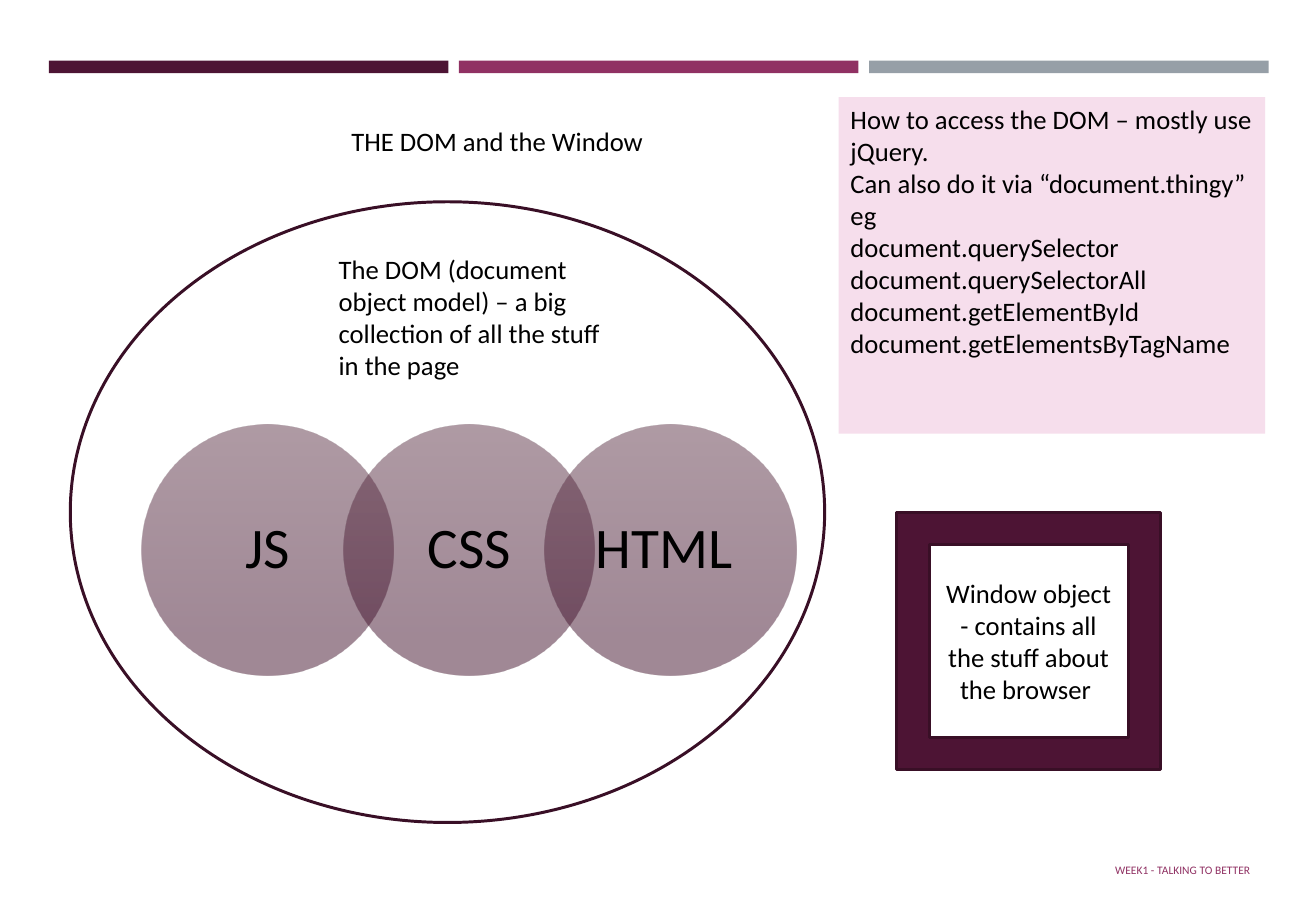
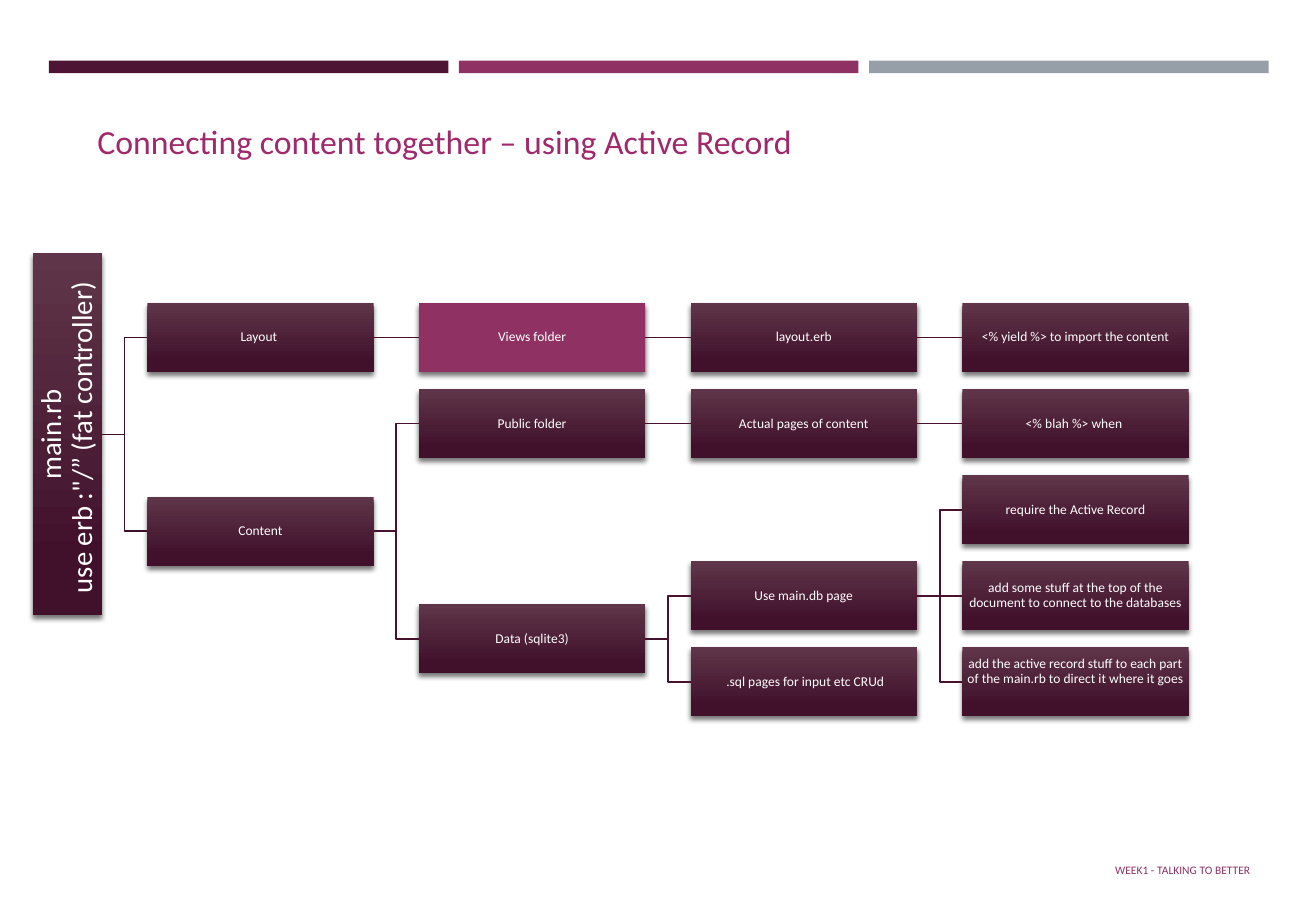
from typing import NamedTuple

from lxml.etree import SubElement
from pptx import Presentation
from pptx.dml.color import RGBColor
from pptx.enum.shapes import MSO_CONNECTOR, MSO_SHAPE
from pptx.enum.text import MSO_ANCHOR, MSO_AUTO_SIZE, PP_ALIGN
from pptx.oxml.ns import qn
from pptx.util import Cm, Pt

FONT = "Calibri"
BLACK, WHITE = "000000", "FFFFFF"
PLUM, MAGENTA, GREY = "4D1434", "903163", "969FA7"
OUTLINE, PINK, TITLE_PINK = "390F26", "F6DEEC", "9F296B"
GRADIENT = ((0, "5F3649"), (0.84, "41112C"))
ROOT_LINE, BRANCH_LINE = "3E102A", "46122F"
BODY_SIZE = 15.8

NODE_WIDTH, NODE_HEIGHT, NODE_GAP = 4.73, 1.44, 0.95
ROW_PITCH = 1.25 * NODE_HEIGHT
ROOT_LENGTH = 7.57


class Box(NamedTuple):
    """A rectangle in centimetres."""
    left: float
    top: float
    width: float
    height: float

    def lengths(self):
        """Return the four values as slide lengths."""
        return [Cm(value) for value in self]

    def inner(self, dx, dy, width, height):
        """Return a box placed relative to this one."""
        return Box(self.left + dx, self.top + dy, width, height)


class Node(NamedTuple):
    """A tree box: leaves give a row, parents give children."""
    text: str
    children: tuple = ()
    row: float = 0
    fill: object = GRADIENT
    lift: float = 0

    def centre_row(self):
        """Return the row midway between the first and last child."""
        if not self.children:
            return self.row
        return (self.children[0].centre_row() + self.children[-1].centre_row()) / 2


TREE = Node('main.rb\vuse erb :"/” (fat controller) ', (
    Node("Layout ", (
        Node("Views folder", (
            Node("layout.erb", (Node("<% yield %> to import the content", row=0),)),
        ), fill=MAGENTA),
    )),
    Node("Content", (
        Node("Public folder", (
            Node("Actual pages of content", (Node("<% blah %> when ", row=1),)),
        )),
        Node("Data (sqlite3)", (
            Node("Use main.db page", (
                Node("require the Active Record", row=2),
                Node("add some stuff at the top of the document to connect to the databases",
                     row=3),
                Node("add the active record stuff to each part of the main.rb "
                     "to direct it where it goes", row=4, lift=0.42),
            )),
            Node(" .sql pages for input etc CRUd", row=4),
        )),
    )),
))

ACCESS_LINES = (
    "How to access the DOM – mostly use jQuery.",
    "Can also do it via “document.thingy” eg",
    "document.querySelector",
    "document.querySelectorAll",
    "document.getElementById",
    "document.getElementsByTagName",
)


def colour(value):
    """Turn a hex string into a colour."""
    return RGBColor.from_string(value)


def write(frame, text, size, ink=BLACK, align=PP_ALIGN.LEFT, anchor=MSO_ANCHOR.TOP,
          wrap=True, spacing=None):
    """Fill a text frame with uniformly formatted paragraphs."""
    frame.text = text
    frame.word_wrap = wrap
    frame.auto_size = MSO_AUTO_SIZE.NONE
    frame.vertical_anchor = anchor
    for paragraph in frame.paragraphs:
        paragraph.alignment = align
        paragraph.line_spacing = spacing
        paragraph.font.name = FONT
        paragraph.font.size = Pt(size)
        paragraph.font.color.rgb = colour(ink)


def paint_gradient(shape, opacity=100):
    """Give a shape the downward plum gradient."""
    shape.fill.gradient()
    shape.fill.gradient_angle = 270
    for stop, (position, tone) in zip(shape.fill.gradient_stops, GRADIENT):
        stop.position = position
        stop.color.rgb = colour(tone)
    if opacity < 100:
        for tone in shape.element.spPr.iter(qn("a:srgbClr")):
            SubElement(tone, qn("a:alpha"), val=str(opacity * 1000))


def add_form(slide, kind, box, fill=None, line=None, opacity=100):
    """Add a preset shape with the given fill and outline."""
    shape = slide.shapes.add_shape(kind, *box.lengths())
    shape.shadow.inherit = False
    if fill is None:
        shape.fill.background()
    elif fill is GRADIENT:
        paint_gradient(shape, opacity)
    else:
        shape.fill.solid()
        shape.fill.fore_color.rgb = colour(fill)
    if line:
        shape.line.color.rgb = colour(line)
        shape.line.width = Pt(1.75)
    else:
        shape.line.fill.background()
    return shape


def add_label(slide, box, text, size, **style):
    """Add a text box."""
    write(slide.shapes.add_textbox(*box.lengths()).text_frame, text, size, **style)


def cast_shadow(shape):
    """Add a soft shadow just below a shape."""
    effects = shape.element.spPr.find(qn("a:effectLst"))
    shadow = SubElement(effects, qn("a:outerShdw"), blurRad=str(Pt(3)), dist=str(Pt(2)),
                        dir="5400000", algn="ctr", rotWithShape="0")
    tone = SubElement(shadow, qn("a:srgbClr"), val=BLACK)
    SubElement(tone, qn("a:alpha"), val="55000")


def add_bands(slide, box, gap=0.22):
    """Draw the three equal bands across the top."""
    width = (box.width - 2 * gap) / 3
    for index, fill in enumerate((PLUM, MAGENTA, GREY)):
        add_form(slide, MSO_SHAPE.RECTANGLE,
                 box.inner(index * (width + gap), 0, width, box.height), fill)


def start_slide(deck, title, box, size, ink):
    """Add a slide with title, bands and footer."""
    slide = deck.slides.add_slide(deck.slide_layouts[5])
    heading = slide.shapes.title
    heading.left, heading.top, heading.width, heading.height = box.lengths()
    write(heading.text_frame, title, size, ink, wrap=False)
    add_bands(slide, Box(1.02, 1.27, 25.5, 0.26))
    add_label(slide, Box(23.06, 17.78, 3.99, 0.81), "WEEK1 - TALKING TO BETTER", 6.8,
              ink=MAGENTA, anchor=MSO_ANCHOR.MIDDLE)
    return slide


def draw_dom(slide, box):
    """Draw the DOM ellipse with its overlapping languages."""
    diameter = 5.26
    for index, language in enumerate(("JS", "CSS", "HTML ")):
        circle = add_form(slide, MSO_SHAPE.OVAL,
                          box.inner(1.5 + index * 0.8 * diameter, 4.65, diameter, diameter),
                          GRADIENT, opacity=50)
        write(circle.text_frame, language, 34, align=PP_ALIGN.CENTER,
              anchor=MSO_ANCHOR.MIDDLE, spacing=0.9)
    add_form(slide, MSO_SHAPE.OVAL, box, line=OUTLINE)
    add_label(slide, box.inner(5.36, 0.94, 5.97, 2.97),
              "The DOM (document object model) – a big collection of all the stuff in the page",
              BODY_SIZE)


def draw_window(slide, box):
    """Draw the window frame with its description."""
    window = add_form(slide, MSO_SHAPE.FRAME, box, PLUM, OUTLINE)
    write(window.text_frame, "Window object - contains all the stuff about the browser ",
          BODY_SIZE, align=PP_ALIGN.CENTER, anchor=MSO_ANCHOR.MIDDLE)


def draw_access(slide, box):
    """Draw the panel on ways to access the DOM."""
    panel = add_form(slide, MSO_SHAPE.RECTANGLE, box, PINK)
    write(panel.text_frame, "\n".join(ACCESS_LINES), BODY_SIZE)


def join(slide, parent, child, straight, tone):
    """Connect a parent's right side to a child's left side."""
    kind = MSO_CONNECTOR.STRAIGHT if straight else MSO_CONNECTOR.ELBOW
    branch = slide.shapes.add_connector(kind, 0, 0, 0, 0)
    branch.begin_connect(parent, 3)
    branch.end_connect(child, 1)
    branch.line.color.rgb = colour(tone)
    branch.line.width = Pt(1)
    SubElement(branch.element.spPr, qn("a:effectLst"))


def draw_node(slide, node, box, depth=0):
    """Draw a node and its descendants within the tree box."""
    is_root = depth == 0
    width, height = (NODE_HEIGHT, ROOT_LENGTH) if is_root else (NODE_WIDTH, NODE_HEIGHT)
    first_column = NODE_HEIGHT + NODE_GAP
    dx = 0 if is_root else first_column + (depth - 1) * (NODE_WIDTH + NODE_GAP)
    row = node.centre_row()
    dy = NODE_HEIGHT / 2 + row * ROW_PITCH - height / 2
    shape = add_form(slide, MSO_SHAPE.RECTANGLE, box.inner(dx, dy, width, height), node.fill)
    cast_shadow(shape)
    frame = shape.text_frame
    write(frame, node.text, 17 if is_root else 8, WHITE, PP_ALIGN.CENTER,
          MSO_ANCHOR.MIDDLE, spacing=0.9)
    frame.margin_left = frame.margin_right = frame.margin_top = Cm(0.03)
    frame.margin_bottom = Cm(0.03 + node.lift)
    if is_root:
        shape.element.txBody.bodyPr.set("vert", "vert270")
    for child in node.children:
        join(slide, shape, draw_node(slide, child, box, depth + 1),
             child.centre_row() == row, ROOT_LINE if is_root else BRANCH_LINE)
    return shape


def main():
    """Build and save the two slides."""
    deck = Presentation()
    deck.slide_width, deck.slide_height = Cm(27.51), Cm(19.05)

    dom = start_slide(deck, "THE DOM and the Window", Box(7.09, 2.49, 7.14, 0.94),
                      BODY_SIZE, BLACK)
    draw_dom(dom, Box(1.47, 4.22, 15.77, 12.98))
    draw_window(dom, Box(18.75, 10.72, 5.51, 5.38))
    draw_access(dom, Box(17.53, 2.03, 8.92, 7.04))

    content = start_slide(deck, "Connecting content together – using Active Record",
                          Box(1.78, 2.39, 15.39, 1.12), 20, TITLE_PINK)
    draw_node(content, TREE, Box(0.69, 6.34, 24.12, 8.64))

    deck.save("out.pptx")


if __name__ == "__main__":
    main()
